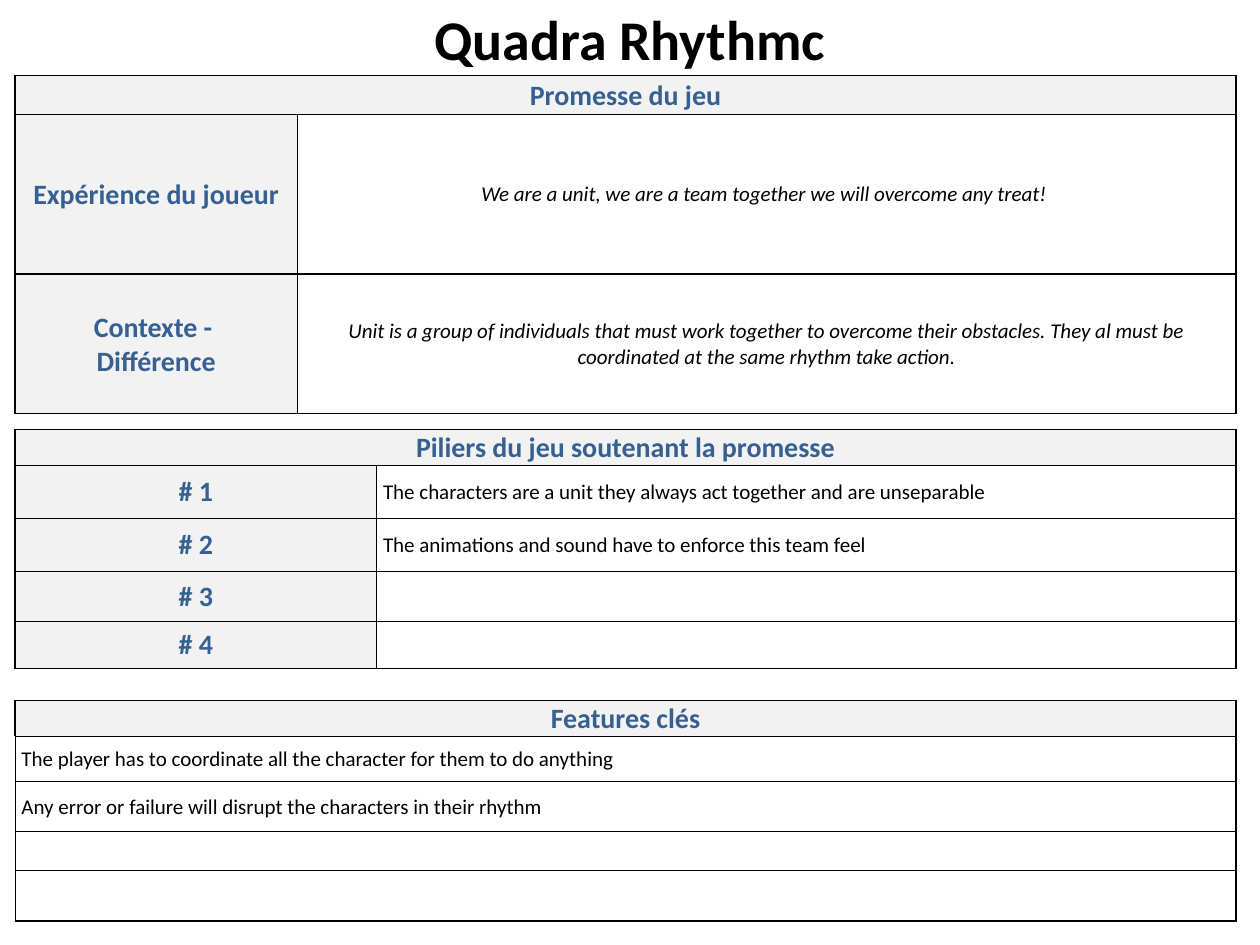
from lxml import etree
from pptx import Presentation
from pptx.dml.color import RGBColor
from pptx.enum.text import MSO_ANCHOR, PP_ALIGN
from pptx.oxml.ns import qn
from pptx.util import Inches, Pt

CENTER, LEFT = PP_ALIGN.CENTER, PP_ALIGN.LEFT
MIDDLE = MSO_ANCHOR.MIDDLE
FONT, BLACK, BLUE, GREY = "Calibri", "000000", "376092", "F2F2F2"
TABLE_LEFT, TABLE_WIDTH = 0.12, 9.69
THICK, THIN = 1, 0.5

TITLE = "Quadra Rhythmc"
SECTIONS = [
    {
        "top": 0.6, "label_width": 2.24, "heights": [0.31, 1.26],
        "header": "Promesse du jeu", "quoted": True, "bottom": THICK,
        "rows": [("Expérience du joueur",
                  "We are a unit, we are a team together we will overcome any treat! ")],
    },
    {
        "top": 3.41, "label_width": 2.87, "heights": [0.26, 0.42, 0.42, 0.4, 0.37],
        "header": "Piliers du jeu soutenant la promesse", "quoted": False, "bottom": THIN,
        "rows": [
            ("# 1", "The characters are a unit they always act together and are unseparable"),
            ("# 2", "The animations and sound have to enforce this team feel"),
            ("# 3", ""),
            ("# 4", ""),
        ],
    },
    {
        "top": 2.18, "label_width": 2.24, "heights": [1.1],
        "header": None, "quoted": True, "bottom": THIN,
        "rows": [("Contexte - \nDifférence",
                  "Unit is a group of individuals that must work together to overcome "
                  "their obstacles. They al must be coordinated at the same rhythm take action.")],
    },
    {
        "top": 5.56, "label_width": 0, "heights": [0.27, 0.36, 0.4, 0.31, 0.4],
        "header": "Features clés", "quoted": False, "bottom": THICK,
        "rows": [
            ("The player has to coordinate all the character for them to do anything",),
            ("Any error or failure will disrupt the characters in their rhythm",),
            ("",),
            ("",),
        ],
    },
]


def rgb(color):
    return RGBColor.from_string(color)


def write(frame, text, size, color, bold, italic, align):
    for index, line in enumerate(text.split("\n")):
        paragraph = frame.add_paragraph() if index else frame.paragraphs[0]
        paragraph.alignment = align
        if not line:
            etree.SubElement(paragraph._p, qn("a:endParaRPr"), sz=str(size * 100))
            continue
        run = paragraph.add_run()
        run.text = line
        run.font.name, run.font.size = FONT, Pt(size)
        run.font.bold, run.font.italic = bold, italic
        run.font.color.rgb = rgb(color)


def set_borders(cell, left, right, top, bottom):
    properties = cell._tc.get_or_add_tcPr()
    for side, weight in zip("LRTB", (left, right, top, bottom)):
        line = etree.SubElement(properties, qn(f"a:ln{side}"), w=str(Pt(weight)))
        fill = etree.SubElement(line, qn("a:solidFill"))
        etree.SubElement(fill, qn("a:srgbClr"), val=BLACK)


def style_cell(cell, shaded, indent, borders):
    cell.margin_left = Inches(0.05 if indent else 0.01)
    cell.margin_right = cell.margin_top = Inches(0.01)
    cell.margin_bottom = 0
    cell.vertical_anchor = MIDDLE
    set_borders(cell, *borders)
    if shaded:
        cell.fill.solid()
        cell.fill.fore_color.rgb = rgb(GREY)
    else:
        cell.fill.background()


def add_section(slide, section):
    label_width, heights = section["label_width"], section["heights"]
    widths = [w for w in (label_width, TABLE_WIDTH - label_width) if w]
    header = section["header"]
    rows = ([(header,) + ("",) * (len(widths) - 1)] if header else []) + section["rows"]
    table = slide.shapes.add_table(
        len(rows), len(widths), Inches(TABLE_LEFT), Inches(section["top"]),
        Inches(TABLE_WIDTH), Inches(sum(heights))).table
    table.first_row = table.horz_banding = False
    for column, width in zip(table.columns, widths):
        column.width = Inches(width)
    for row, height in zip(table.rows, heights):
        row.height = Inches(height)

    for r, texts in enumerate(rows):
        is_header = bool(header) and r == 0
        for c, text in enumerate(texts):
            heading = is_header or (len(widths) > 1 and c == 0)
            centered = heading or section["quoted"]
            borders = (
                THICK if heading and c == 0 else THIN,
                THICK if is_header or c == len(widths) - 1 else THIN,
                THICK if is_header else THIN,
                section["bottom"] if r == len(rows) - 1 else THIN,
            )
            cell = table.cell(r, c)
            style_cell(cell, heading, not centered, borders)
            write(cell.text_frame, text, 16 if heading else 12,
                  BLUE if heading else BLACK, heading,
                  section["quoted"] and not heading, CENTER if centered else LEFT)
    if header and len(widths) > 1:
        table.cell(0, 0).merge(table.cell(0, len(widths) - 1))


def main():
    deck = Presentation()
    deck.slide_width, deck.slide_height = Inches(10), Inches(7.5)
    slide = deck.slides.add_slide(deck.slide_layouts[5])
    title = slide.shapes.title
    title.left, title.top, title.width, title.height = 0, 0, Inches(10), Inches(0.6)
    title.text_frame.vertical_anchor = MIDDLE
    write(title.text_frame, TITLE, 32, BLACK, True, False, CENTER)
    for section in SECTIONS:
        add_section(slide, section)
    deck.save("out.pptx")


if __name__ == "__main__":
    main()
